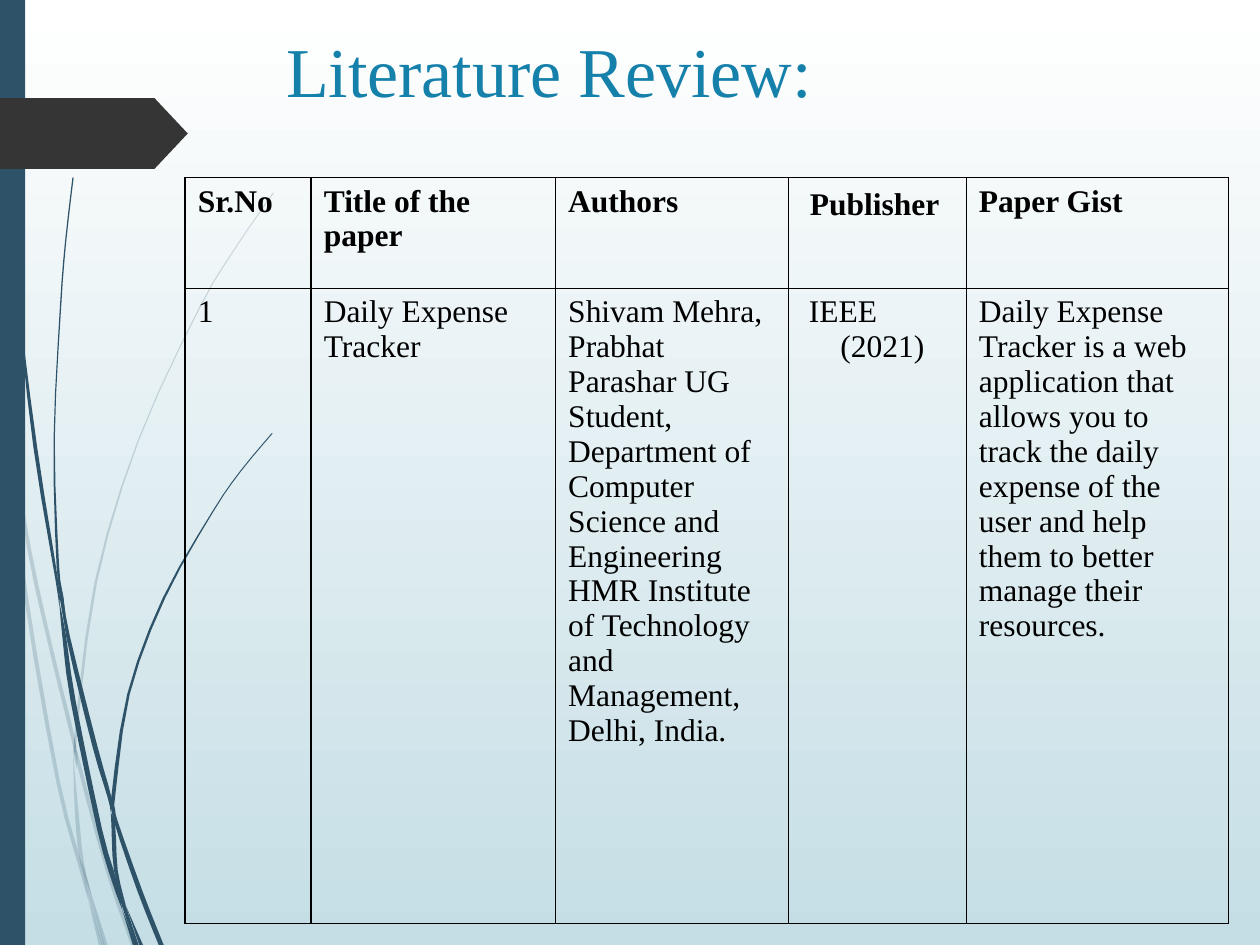
import pptx
import pptx.dml.color
import pptx.enum.shapes
import pptx.enum.text
import pptx.oxml
import pptx.oxml.ns
import pptx.util
from lxml import etree

Inches, Pt = pptx.util.Inches, pptx.util.Pt
SHAPE = pptx.enum.shapes.MSO_SHAPE
W, H = 10, 7.5
FONT = "Times New Roman"
COLORS = {"sky": "FFFFFF", "mist": "C5DEE5", "navy": "2E5369",
          "tag": "353535", "title": "1581AA", "ink": "000000"}

# Pieces of grass blades: (centre x, y, width) from the upper tip down
PALE_BLADES = [
    [(0, 2.82, 0), (0.01, 2.99, 0.02), (0.06, 3.3, 0.02), (0.08, 3.5, 0)],
    [(0.1, 3.45, 0), (0.23, 4.35, 0.03), (0.42, 5.21, 0.03), (0.58, 5.86, 0.03),
     (0.59, 5.99, 0)],
    [(0.61, 5.96, 0), (0.63, 6.08, 0.03), (0.86, 6.93, 0.03), (1.06, 7.5, 0.04)],
    [(0.73, 7.11, 0), (0.84, 7.5, 0.03)],
    [(0.08, 3.5, 0), (0.2, 4.69, 0.03), (0.46, 6.2, 0.03), (0.64, 6.88, 0.03),
     (0.7, 7.14, 0)],
    [(0.58, 5.99, 0), (0.61, 6.46, 0.03), (0.65, 6.84, 0.03), (0.73, 7.11, 0)],
    [(2.17, 1.53, 0.01), (1.86, 1.98, 0.01), (1.58, 2.45, 0.01),
     (1.1, 3.49, 0.01), (0.76, 4.62, 0.02), (0.6, 5.84, 0.02), (0.61, 5.96, 0)],
    [(0.7, 7.14, 0), (0.8, 7.5, 0.03)],
    [(0.59, 5.86, 0), (0.6, 5.98, 0.03), (0.61, 6.1, 0)],
    [(0.65, 6.83, 0), (0.71, 7.1, 0.03), (0.82, 7.5, 0.02)],
]
DARK_BLADES = [
    [(0.02, 0, 0.01), (0.05, 1.1, 0.01), (0.14, 2.33, 0.01),
     (0.28, 3.55, 0.03), (0.45, 4.6, 0.02), (0.47, 4.81, 0)],
    [(0.5, 4.72, 0), (0.54, 5.05, 0.03), (0.75, 5.91, 0.04), (0.87, 6.33, 0.03),
     (0.88, 6.45, 0)],
    [(0.91, 6.41, 0), (0.92, 6.52, 0.03), (1.11, 7.07, 0.04), (1.28, 7.5, 0.04)],
    [(0.47, 4.77, 0), (0.51, 5.05, 0.03), (0.58, 5.56, 0.04), (0.79, 6.58, 0.04),
     (0.91, 7, 0.04), (0.97, 7.22, 0)],
    [(0.58, 1.41, 0.01), (0.52, 1.93, 0.01), (0.48, 2.45, 0.01),
     (0.43, 3.49, 0.01), (0.46, 4.5, 0.02), (0.5, 4.72, 0)],
    [(1, 7.19, 0), (1.12, 7.5, 0.03)],
    [(0.45, 4.49, 0), (0.49, 4.75, 0.03), (0.53, 5.05, 0)],
    [(2.16, 3.44, 0.01), (1.91, 3.74, 0.01), (1.69, 4.06, 0.01),
     (1.3, 4.75, 0.02), (1.02, 5.51, 0.02), (0.9, 6.32, 0.03), (0.91, 6.41, 0)],
    [(0.97, 7.22, 0), (1.07, 7.5, 0.03)],
    [(0.88, 6.45, 0), (0.9, 6.56, 0.03), (0.92, 6.91, 0.03), (1, 7.19, 0)],
    [(0.88, 6.31, 0), (0.9, 6.43, 0.03), (0.91, 6.56, 0)],
    [(0.91, 6.91, 0), (0.98, 7.18, 0.03), (1.09, 7.5, 0.02)],
]

COLUMNS = [1, 1.94, 1.85, 1.41, 2.08]
ROWS = [0.88, 5.04]
HEADINGS = ["Sr.No", "Title of the paper", "Authors", "Publisher", "Paper Gist"]
PAPER = [
    "1",
    "Daily Expense Tracker",
    "Shivam Mehra, Prabhat Parashar UG Student, Department of Computer Science "
    "and Engineering HMR Institute of Technology and Management, Delhi, India.",
    "IEEE\n(2021)",
    "Daily Expense Tracker is a web application that allows you to track the "
    "daily expense of the user and help them to better manage their resources.",
]
INDENTS = {"IEEE": 0.06, "(2021)": 0.31}


def rgb(name):
    return pptx.dml.color.RGBColor.from_string(COLORS[name])


def paint_background(s):
    fill = s.background.fill
    fill.gradient()
    fill.gradient_angle = 270
    for stop, name in zip(fill.gradient_stops, ("sky", "mist")):
        stop.color.rgb = rgb(name)


def paint(sp, name, alpha=100):
    sp.shadow.inherit = False
    sp.line.fill.background()
    sp.fill.solid()
    sp.fill.fore_color.rgb = rgb(name)
    if alpha < 100:
        color = sp.fill._xPr.find(".//" + pptx.oxml.ns.qn("a:srgbClr"))
        etree.SubElement(color, pptx.oxml.ns.qn("a:alpha"), val=str(alpha * 1000))


def smooth(knots, steps=3):
    """Return points of a Catmull-Rom curve through the knots."""
    ends = [knots[0], *knots, knots[-1]]
    points = []
    for a, b, c, d in zip(ends, ends[1:], ends[2:], ends[3:]):
        for i in range(steps):
            t = i / steps
            points.append(tuple(
                q + t * (r - p + t * (2 * p - 5 * q + 4 * r - o
                                      + t * (3 * (q - r) + o - p))) / 2
                for p, q, r, o in zip(a, b, c, d)))
    return points + [knots[-1]]


def add_blade(s, knots, alpha):
    curve = [(x, y, max(w, 0)) for x, y, w in smooth(knots)]
    left = [(max(x - w / 2, 0), y) for x, y, w in curve]
    right = [(x + w / 2, y) for x, y, w in reversed(curve)]
    outline = [(Inches(x), Inches(y)) for x, y in left + right]
    builder = s.shapes.build_freeform(*outline[0])
    builder.add_line_segments(outline[1:], close=True)
    paint(builder.convert_to_shape(), "navy", alpha)


def add_block(s, kind, x, y, w, h, name):
    sp = s.shapes.add_shape(kind, Inches(x), Inches(y), Inches(w), Inches(h))
    paint(sp, name)
    return sp


def add_run(p, text, size, name, bold=False, font=FONT):
    r = p.add_run()
    r.text = text
    r.font.size, r.font.bold, r.font.name = Pt(size), bold, font
    r.font.color.rgb = rgb(name)


def set_title(s, text):
    sp = s.shapes.title
    sp.left, sp.top = Inches(2.17), Inches(0.17)
    sp.width, sp.height = Inches(7.13), Inches(0.92)
    tf = sp.text_frame
    tf.vertical_anchor = pptx.enum.text.MSO_ANCHOR.MIDDLE
    tf.margin_bottom = Inches(0.2)
    p = tf.paragraphs[0]
    p.alignment = pptx.enum.text.PP_ALIGN.LEFT
    add_run(p, text, 40, "title")


def outline_cell(cell):
    tcPr = cell._tc.get_or_add_tcPr()
    for i, side in enumerate(("lnL", "lnR", "lnT", "lnB")):
        tcPr.insert(i, pptx.oxml.parse_xml(
            f'<a:{side} {pptx.oxml.ns.nsdecls("a")} w="12700"><a:solidFill>'
            f'<a:srgbClr val="{COLORS["ink"]}"/></a:solidFill></a:{side}>'))


def fill_cell(cell, text, bold):
    cell.fill.background()
    outline_cell(cell)
    tf = cell.text_frame
    for i, line in enumerate(text.split("\n")):
        p = tf.add_paragraph() if i else tf.paragraphs[0]
        if line in INDENTS:
            p._p.get_or_add_pPr().set("marL", str(Inches(INDENTS[line])))
        if line == "Publisher":
            add_run(p, " ", 18, "ink", font="Quicksand")
        add_run(p, line, 18, "ink", bold)


def add_review_table(s):
    table = s.shapes.add_table(len(ROWS), len(COLUMNS), Inches(1.47), Inches(1.41),
                               Inches(sum(COLUMNS)), Inches(sum(ROWS))).table
    table.first_row = table.horz_banding = False
    for column, width in zip(table.columns, COLUMNS):
        column.width = Inches(width)
    for i, (row, height) in enumerate(zip(table.rows, ROWS)):
        row.height = Inches(height)
        for cell, text in zip(row.cells, (HEADINGS, PAPER)[i]):
            fill_cell(cell, text, bold=i == 0)


def main():
    prs = pptx.Presentation()
    prs.slide_width, prs.slide_height = Inches(W), Inches(H)
    s = prs.slides.add_slide(prs.slide_layouts[5])
    paint_background(s)
    for blades, alpha in ((PALE_BLADES, 20), (DARK_BLADES, 100)):
        for knots in blades:
            add_blade(s, knots, alpha)
    add_block(s, SHAPE.RECTANGLE, 0, 0, 0.2, H, "navy")
    tag = add_block(s, SHAPE.PENTAGON, 0, 0.78, 1.49, 0.56, "tag")
    tag.adjustments[0] = 0.47
    set_title(s, "Literature Review:")
    add_review_table(s)
    prs.save("out.pptx")


if __name__ == "__main__":
    main()
